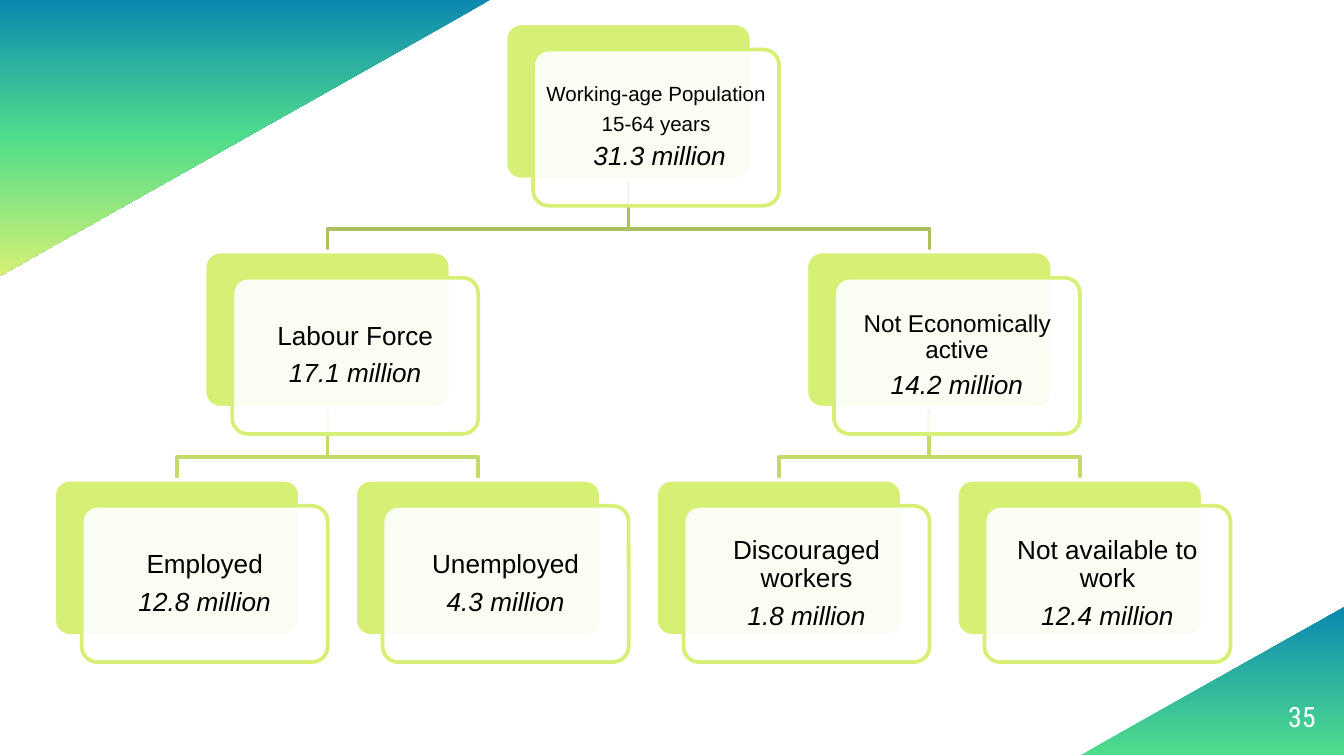
from dataclasses import dataclass

from lxml.etree import SubElement
from pptx import Presentation
from pptx.dml.color import RGBColor
from pptx.enum.shapes import MSO_SHAPE as Preset
from pptx.enum.text import MSO_ANCHOR as Anchor, PP_ALIGN as Align
from pptx.oxml.ns import qn
from pptx.util import Pt

COLORS = {
    "lime": "D6F075", "green": "50DD8B", "blue": "0D89B1",
    "white": "FFFFFF", "black": "000000",
    "upper link": "ABC05E", "lower link": "C2DA6A",
}
CARD_W, CARD_H = 131.8, 83.7
FRONT_DX, FRONT_DY = 14.8, 14
LEAF_LEFT, LEAF_PITCH = 29, 161.2
TOP, LEVEL_PITCH = 12.5, 122.25
BEND_ABOVE_CHILD = 12.2
LABEL_INSET = 2.5


@dataclass(frozen=True)
class Line:
    text: str
    size: float = 14
    italic: bool = False


@dataclass(frozen=True)
class Group:
    column: float  # in leaf columns, counted from the left
    level: int
    lines: tuple[Line, ...]
    children: tuple["Group", ...] = ()
    margin: float = 4.2

    @property
    def left(self) -> float:
        return LEAF_LEFT + self.column * LEAF_PITCH

    @property
    def top(self) -> float:
        return TOP + self.level * LEVEL_PITCH

    @property
    def center(self) -> float:
        return self.left + CARD_W / 2


def leaf(column: int, name: str, count: str) -> Group:
    return Group(column, 2, (Line(name), Line(count, italic=True)))


LABOUR_FORCE = Group(
    0.5, 1, (Line("Labour Force"), Line("17.1 million", italic=True)),
    (leaf(0, "Employed", "12.8 million"), leaf(1, "Unemployed", "4.3 million")))
INACTIVE = Group(
    2.5, 1, (Line("Not Economically active", 13), Line("14.2 million", italic=True)),
    (leaf(2, "Discouraged workers", "1.8 million"),
     leaf(3, "Not available to work", "12.4 million")), 3.6)
POPULATION = Group(
    1.5, 0, (Line("Working-age Population", 11), Line("15-64 years", 11),
             Line(" 31.3 million", italic=True)),
    (LABOUR_FORCE, INACTIVE), 3.6)


def rgb(name: str) -> RGBColor:
    return RGBColor.from_string(COLORS[name])


def add_corner(slide, left: float, top: float, width: float, height: float,
               rotation: int, stops: tuple[str, ...]) -> None:
    """Draw a rotated right triangle with evenly spaced gradient stops."""
    corner = slide.shapes.add_shape(Preset.RIGHT_TRIANGLE, Pt(left), Pt(top), Pt(width), Pt(height))
    corner.rotation = rotation
    corner.shadow.inherit = False
    corner.line.fill.background()
    corner.fill.gradient()
    corner.fill.gradient_angle = 0
    stop_list = next(corner._element.iter(qn("a:gsLst")))
    for default_stop in list(stop_list):
        stop_list.remove(default_stop)
    for index, name in enumerate(stops):
        stop = SubElement(stop_list, qn("a:gs"), pos=str(100000 * index // (len(stops) - 1)))
        SubElement(stop, qn("a:srgbClr"), val=COLORS[name])


def add_link(slide, parent: Group, child: Group) -> None:
    bend = child.top - BEND_ABOVE_CHILD
    builder = slide.shapes.build_freeform(Pt(parent.center), Pt(parent.top + CARD_H))
    builder.add_line_segments(
        [(Pt(parent.center), Pt(bend)), (Pt(child.center), Pt(bend)),
         (Pt(child.center), Pt(child.top))], close=False)
    link = builder.convert_to_shape()
    link.shadow.inherit = False
    link.fill.background()
    link.line.color.rgb = rgb("lower link" if parent.level else "upper link")
    link.line.width = Pt(2)


def add_card(slide, left: float, top: float, fill: str, line: str, opacity: int = 100) -> None:
    card = slide.shapes.add_shape(Preset.ROUNDED_RECTANGLE, Pt(left), Pt(top), Pt(CARD_W), Pt(CARD_H))
    card.adjustments[0] = 0.1
    card.shadow.inherit = False
    card.fill.solid()
    card.fill.fore_color.rgb = rgb(fill)
    card.line.color.rgb = rgb(line)
    card.line.width = Pt(2)
    if opacity < 100:
        fill_color = card._element.spPr.find(qn("a:solidFill"))[0]
        SubElement(fill_color, qn("a:alpha"), val=str(opacity * 1000))


def add_text(slide, left: float, top: float, width: float, height: float,
             lines: tuple[Line, ...], margin: float, font: str, color: str, align: Align):
    box = slide.shapes.add_textbox(Pt(left), Pt(top), Pt(width), Pt(height))
    frame = box.text_frame
    frame.word_wrap = True
    frame.vertical_anchor = Anchor.MIDDLE
    frame.margin_left = frame.margin_right = Pt(margin)
    frame.margin_top = frame.margin_bottom = Pt(margin)
    frame.text = "\n".join(line.text for line in lines)
    for paragraph, line in zip(frame.paragraphs, lines):
        paragraph.alignment = align
        for run in paragraph.runs:
            run.font.name = font
            run.font.size = Pt(line.size)
            run.font.italic = line.italic
            run.font.color.rgb = rgb(color)
    return frame


def add_label(slide, group: Group) -> None:
    frame = add_text(
        slide, group.left + FRONT_DX + LABEL_INSET, group.top + FRONT_DY + LABEL_INSET,
        CARD_W - 2 * LABEL_INSET, CARD_H - 2 * LABEL_INSET,
        group.lines, group.margin, "Arial", "black", Align.CENTER)
    for paragraph in frame.paragraphs:
        paragraph.line_spacing = 0.9
        paragraph.space_after = Pt(0)
        # Space after is relative to the text size
        spacing = next(paragraph._p.iter(qn("a:spcAft")))
        spacing.remove(spacing[0])
        SubElement(spacing, qn("a:spcPct"), val="35000")


def add_links(slide, group: Group) -> None:
    for child in group.children:
        add_links(slide, child)
        add_link(slide, group, child)


def add_groups(slide, group: Group) -> None:
    add_card(slide, group.left, group.top, "lime", "white")
    add_card(slide, group.left + FRONT_DX, group.top + FRONT_DY, "white", "lime", 90)
    add_label(slide, group)
    for child in group.children:
        add_groups(slide, child)


def main() -> None:
    deck = Presentation()
    deck.slide_width, deck.slide_height = Pt(720), Pt(405)
    slide = deck.slides.add_slide(deck.slide_layouts[6])
    add_corner(slide, 57.4, -57.4, 147.8, 262.6, 90, ("blue", "green", "lime"))
    add_corner(slide, 609.8, 294.5, 79.2, 141.1, 270, ("green", "blue"))
    add_text(slide, 661.7, 368, 43.2, 31, (Line("35", 15),), 0,
             "Roboto Condensed", "white", Align.RIGHT)
    add_links(slide, POPULATION)
    add_groups(slide, POPULATION)
    deck.save("out.pptx")


if __name__ == "__main__":
    main()
